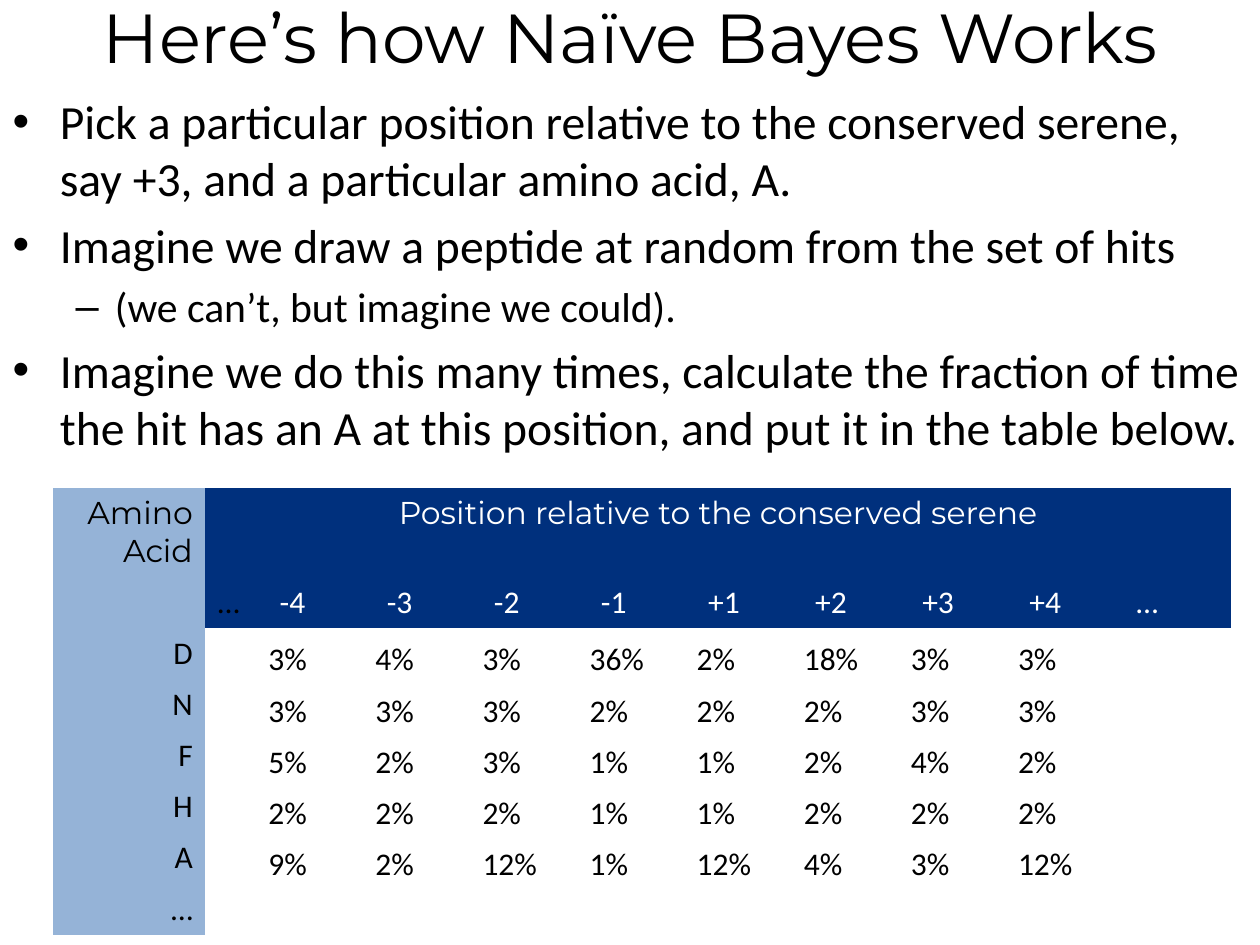
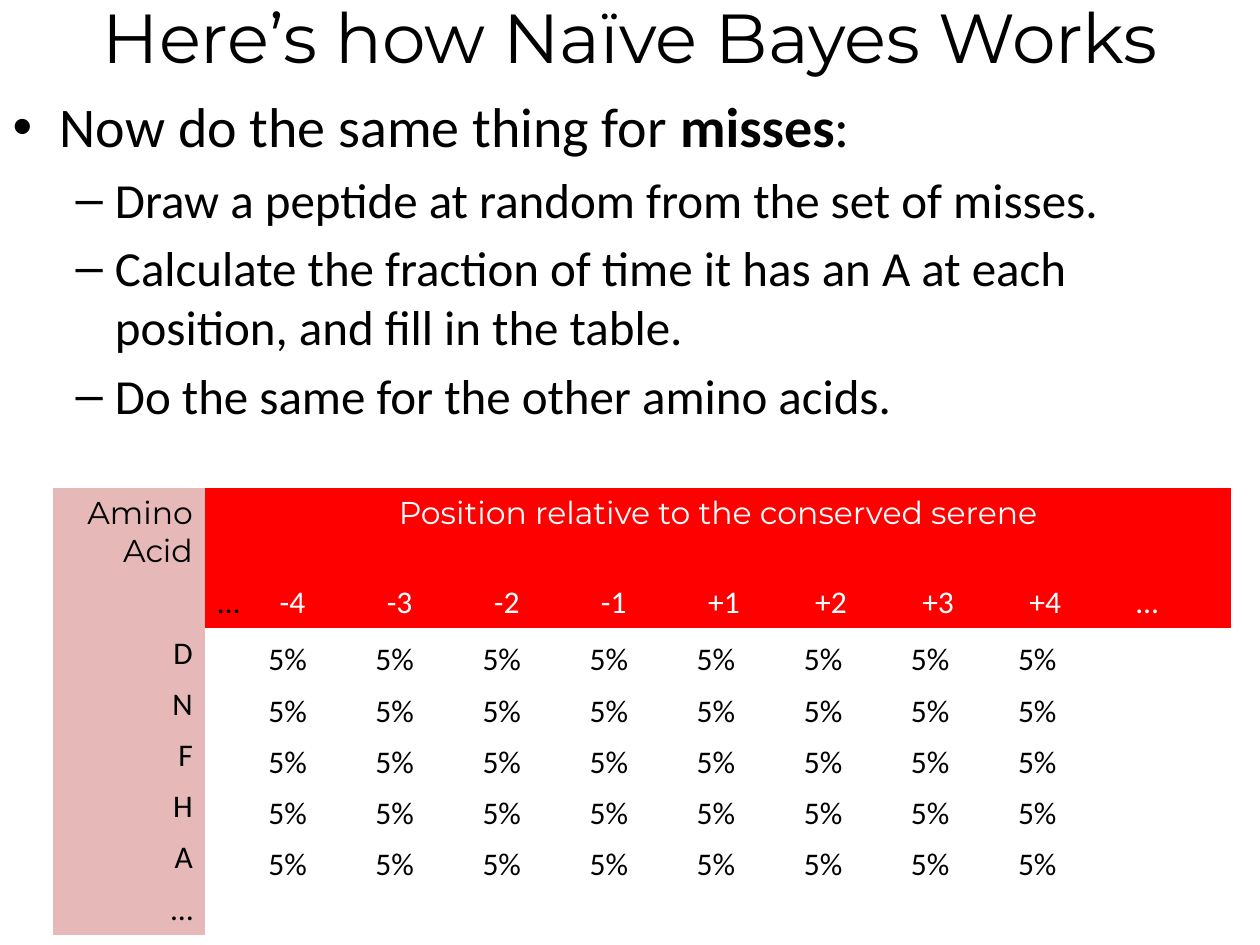
"""Build two slides that show how Naïve Bayes counts amino acids in hits and misses."""
import pptx
import pptx.dml.color
import pptx.enum.text
import pptx.util
from pptx.util import Inches

RGBColor = pptx.dml.color.RGBColor
Anchor = pptx.enum.text.MSO_ANCHOR
Align = pptx.enum.text.PP_ALIGN

BLACK = RGBColor(0x00, 0x00, 0x00)
WHITE = RGBColor(0xFF, 0xFF, 0xFF)
NAVY = RGBColor(0x00, 0x30, 0x7D)
LIGHT_BLUE = RGBColor(0x95, 0xB3, 0xD7)
RED = RGBColor(0xFF, 0x00, 0x00)
PINK = RGBColor(0xE6, 0xB9, 0xB8)

HEADING_FONT = "Montserrat"
BODY_FONT = "Calibri"
NO_GRID_STYLE = "{2D5ABB26-0587-4C30-8999-92F81FD0307C}"

TITLE = "Here’s how Naïve Bayes Works"
POSITIONS = ["…", "-4", "-3", "-2", "-1", "+1", "+2", "+3", "+4", "…"]
AMINO_ACIDS = ["D", "N", "F", "H", "A", "…"]
HIT_PERCENTS = [
    [3, 4, 3, 36, 2, 18, 3, 3],
    [3, 3, 3, 2, 2, 2, 3, 3],
    [5, 2, 3, 1, 1, 2, 4, 2],
    [2, 2, 2, 1, 1, 2, 2, 2],
    [9, 2, 12, 1, 12, 4, 3, 12],
]
MISS_PERCENTS = [[5] * 8 for _ in range(5)]

HIT_STEPS = [
    (0, ["Pick a particular position relative to the conserved serene, "
         "say +3, and a particular amino acid, A."]),
    (0, ["Imagine we draw a peptide at random from the set of hits"]),
    (1, ["(we can’t, but imagine we could)."]),
    (0, ["Imagine we do this many times, calculate the fraction of time "
         "the hit has an A at this position, and put it in the table below."]),
]
MISS_STEPS = [
    (0, ["Now do the same thing for ", "misses", ":"]),
    (1, ["Draw a peptide at random from the set of misses."]),
    (1, ["Calculate the fraction of time it has an A at each position, "
         "and fill in the table."]),
    (1, ["Do the same for the other amino acids."]),
]


class Deck:
    def __init__(self):
        self.prs = pptx.Presentation()
        self.prs.slide_width = Inches(10)
        self.prs.slide_height = Inches(7.5)
        self.slide = None

    def add_slide(self):
        self.slide = self.prs.slides.add_slide(self.prs.slide_layouts[1])

    def style(self, r, size, font=BODY_FONT, color=BLACK, bold=False):
        r.font.size = pptx.util.Pt(size)
        r.font.name = font
        r.font.color.rgb = color
        r.font.bold = bold

    def place(self, sp, left, top, width, height):
        sp.left, sp.top = Inches(left), Inches(top)
        sp.width, sp.height = Inches(width), Inches(height)
        sp.text_frame.auto_size = pptx.enum.text.MSO_AUTO_SIZE.NONE

    def title(self, text):
        sp = self.slide.shapes.title
        self.place(sp, 0, -0.34, 10, 1.25)
        sp.text_frame.text = text
        self.style(sp.text_frame.paragraphs[0].runs[0], 39.6, HEADING_FONT)

    def bullets(self, items, sizes):
        sp = self.slide.placeholders[1]
        self.place(sp, 0, 0.68, 10, 3.19)
        tf = sp.text_frame
        for i, (level, pieces) in enumerate(items):
            p = tf.add_paragraph() if i else tf.paragraphs[0]
            p.level = level
            for j, piece in enumerate(pieces):
                r = p.add_run()
                r.text = piece
                self.style(r, sizes[level], bold=j == 1)

    def cell(self, cell, text, fill=None, color=BLACK, font=BODY_FONT, align=Align.LEFT):
        if fill is None:
            cell.fill.background()
        else:
            cell.fill.solid()
            cell.fill.fore_color.rgb = fill
        p = cell.text_frame.paragraphs[0]
        p.text = text
        p.alignment = align
        for r in p.runs:
            self.style(r, 18, font, color)

    def percent(self, cell, value):
        self.cell(cell, f"{value}%")
        cell.vertical_anchor = Anchor.BOTTOM
        cell.margin_left = cell.margin_right = cell.margin_top = Inches(0.01)
        cell.margin_bottom = 0

    def frequency_table(self, percents, header_fill, label_fill):
        widths = [1.21, 0.49] + [0.85] * 9
        heights = [0.71] + [0.4] * 7
        table = self.slide.shapes.add_table(
            len(heights), len(widths), Inches(0.42), Inches(3.87),
            Inches(sum(widths)), Inches(sum(heights))).table
        table.first_row = table.horz_banding = False
        table._tbl.tblPr[0].text = NO_GRID_STYLE
        for column, width in zip(table.columns, widths):
            column.width = Inches(width)
        for row, height in zip(table.rows, heights):
            row.height = Inches(height)

        table.cell(0, 1).merge(table.cell(0, 10))
        self.cell(table.cell(0, 0), "Amino Acid", label_fill,
                  font=HEADING_FONT, align=Align.RIGHT)
        self.cell(table.cell(0, 1), "Position relative to the conserved serene",
                  header_fill, WHITE, HEADING_FONT, Align.CENTER)
        self.cell(table.cell(1, 0), "", label_fill)
        for col, position in enumerate(POSITIONS, 1):
            self.cell(table.cell(1, col), position, header_fill,
                      BLACK if col == 1 else WHITE)
        for row, acid in enumerate(AMINO_ACIDS, 2):
            self.cell(table.cell(row, 0), acid, label_fill, align=Align.RIGHT)
            for col in range(1, len(widths)):
                self.cell(table.cell(row, col), "")
        for row, values in enumerate(percents, 2):
            for col, value in enumerate(values, 2):
                self.percent(table.cell(row, col), value)


def main():
    deck = Deck()
    for steps, sizes, percents, header_fill, label_fill in [
        (HIT_STEPS, (27.2, 23.8), HIT_PERCENTS, NAVY, LIGHT_BLUE),
        (MISS_STEPS, (32, 28), MISS_PERCENTS, RED, PINK),
    ]:
        deck.add_slide()
        deck.title(TITLE)
        deck.bullets(steps, sizes)
        deck.frequency_table(percents, header_fill, label_fill)
    deck.prs.save("out.pptx")


if __name__ == "__main__":
    main()
